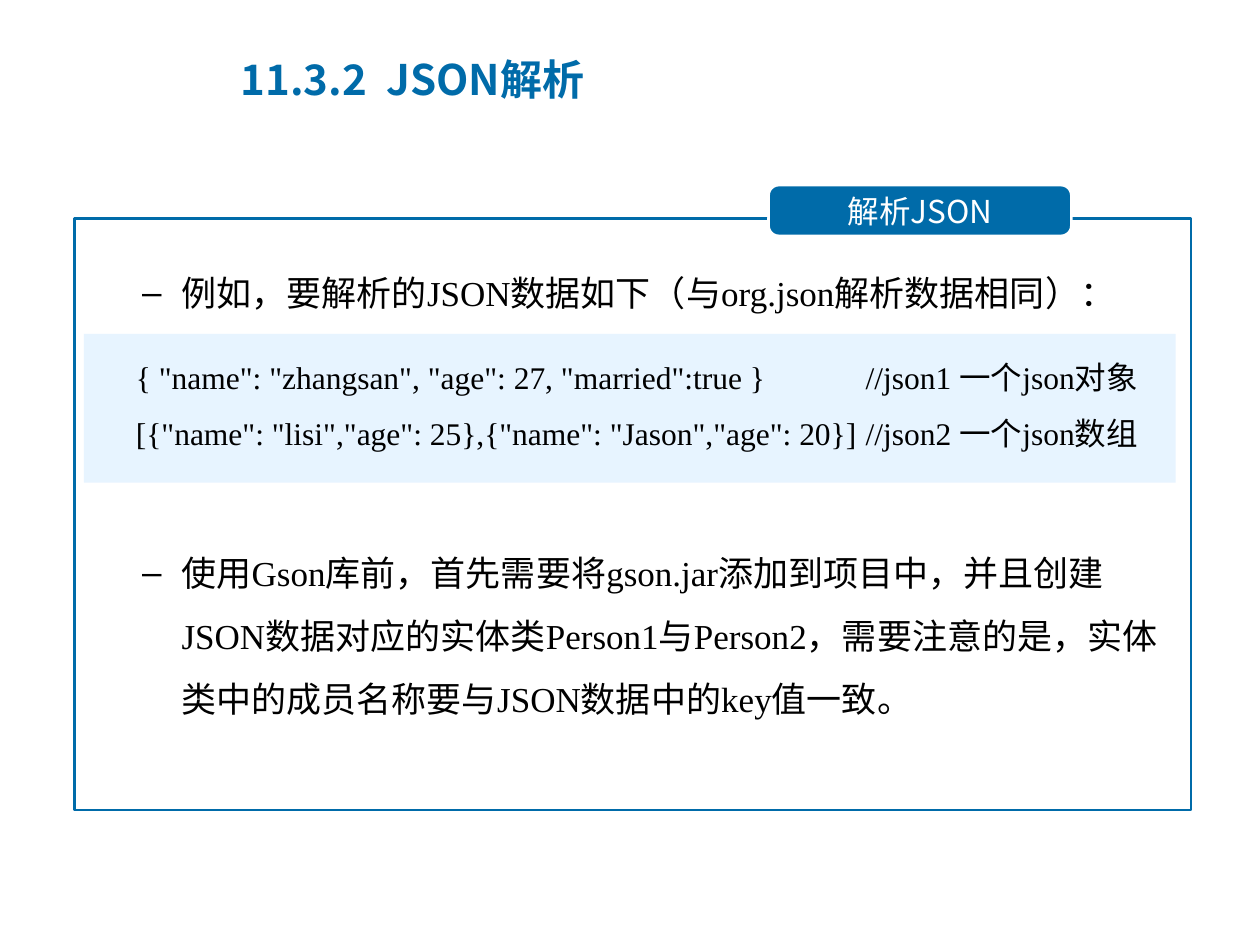
from lxml import etree
from pptx import Presentation
from pptx.dml.color import RGBColor
from pptx.enum.shapes import MSO_SHAPE
from pptx.enum.text import MSO_ANCHOR, MSO_AUTO_SIZE, PP_ALIGN
from pptx.oxml.ns import qn
from pptx.util import Pt

RECTANGLE, ROUNDED = MSO_SHAPE.RECTANGLE, MSO_SHAPE.ROUNDED_RECTANGLE
TOP, MIDDLE = MSO_ANCHOR.TOP, MSO_ANCHOR.MIDDLE
LEFT, CENTER = PP_ALIGN.LEFT, PP_ALIGN.CENTER
NO_AUTOFIT = MSO_AUTO_SIZE.NONE

BLUE = RGBColor(0x00, 0x6B, 0xA9)
PALE_BLUE = RGBColor(0xE7, 0xF4, 0xFF)
WHITE = RGBColor(0xFF, 0xFF, 0xFF)
BLACK = RGBColor(0x00, 0x00, 0x00)

SANS, SERIF, ARIAL = "Noto Sans CJK SC", "Times New Roman", "Arial"

BULLETS = [
    [("例如，要", ARIAL),
     ("解析的JSON数据如下（与org.json解析数据相同", SERIF),
     ("）：", ARIAL)],
    [("使用", ARIAL),
     ("Gson库前，首先需要将gson.jar添加到项目中，并且创建JSON数据对应的实体类"
      "Person1与Person2，需要注意的是，实体类中的成员名称要与JSON数据中的key值", SERIF),
     ("一致。", ARIAL)],
]
CODE_LINES = [
    '{ "name": "zhangsan", "age": 27, "married":true }\t//json1 一个json对象',
    '[{"name": "lisi","age": 25},{"name": "Jason","age": 20}]\t//json2 一个json数组',
]


def set_values(target, values):
    """Set each named attribute of the target."""
    for name, value in values.items():
        setattr(target, name, value)


def place(shape, left, top, width, height):
    """Move and size a shape, in points."""
    set_values(shape, {"left": Pt(left), "top": Pt(top),
                       "width": Pt(width), "height": Pt(height)})


def add_tab_stop(paragraph, position):
    """Give a paragraph one left tab stop, in points."""
    properties = paragraph._p.get_or_add_pPr()
    tab_list = etree.SubElement(properties, qn("a:tabLst"))
    etree.SubElement(tab_list, qn("a:tab"), pos=str(Pt(position)), algn="l")


def add_run(paragraph, text, size, name, color, bold=False):
    """Add a formatted run to a paragraph."""
    run = paragraph.add_run()
    run.text = text
    set_values(run.font, {"size": Pt(size), "name": name, "bold": bold})
    run.font.color.rgb = color


def add_box(slide, kind, bounds, fill=None, line=None):
    """Add a preset shape with an optional fill and outline."""
    shape = slide.shapes.add_shape(kind, *map(Pt, bounds))
    shape.shadow.inherit = False
    if fill is None:
        shape.fill.background()
    else:
        shape.fill.solid()
        shape.fill.fore_color.rgb = fill
    if line is None:
        shape.line.fill.background()
    else:
        shape.line.color.rgb = line
        shape.line.width = Pt(1.5)
    return shape


def add_title(slide):
    """Format and fill the title placeholder."""
    title = slide.shapes.title
    place(title, 130.3, 15, 405, 60.5)
    set_values(title.text_frame, {"auto_size": NO_AUTOFIT, "vertical_anchor": MIDDLE,
                                  "word_wrap": True})
    paragraph = title.text_frame.paragraphs[0]
    add_tab_stop(paragraph, 83.4)
    paragraph.alignment = LEFT
    add_run(paragraph, "11.3.2\tJSON解析", 24, SANS, BLUE, True)


def add_bullets(slide):
    """Fill the body placeholder with second-level bullets."""
    body = slide.placeholders[1]
    place(body, 38, 139.7, 634.5, 312)
    frame = body.text_frame
    set_values(frame, {"auto_size": NO_AUTOFIT, "vertical_anchor": TOP, "word_wrap": True})
    for index, runs in enumerate(BULLETS):
        paragraph = frame.add_paragraph() if index else frame.paragraphs[0]
        set_values(paragraph, {"level": 1, "alignment": LEFT, "line_spacing": Pt(36),
                               "space_before": Pt(124 * index)})
        for text, name in runs:
            add_run(paragraph, text, 20, name, BLACK)


def add_badge(slide):
    """Add the rounded label on the frame's top edge."""
    badge = add_box(slide, ROUNDED, (439.2, 105.8, 173, 29), BLUE, WHITE)
    badge.adjustments[0] = 0.2
    frame = badge.text_frame
    set_values(frame, {"vertical_anchor": MIDDLE, "word_wrap": True})
    paragraph = frame.paragraphs[0]
    paragraph.alignment = CENTER
    add_run(paragraph, "解析JSON", 18, SANS, WHITE)


def add_code(slide):
    """Add the shaded panel with code and aligned remarks."""
    panel = add_box(slide, RECTANGLE, (48, 190.8, 623.8, 85), PALE_BLUE)
    frame = panel.text_frame
    set_values(frame, {"vertical_anchor": TOP, "word_wrap": True,
                       "margin_left": Pt(29.7), "margin_right": Pt(0)})
    for index, text in enumerate(CODE_LINES):
        paragraph = frame.add_paragraph() if index else frame.paragraphs[0]
        add_tab_stop(paragraph, 417)
        set_values(paragraph, {"alignment": LEFT, "line_spacing": Pt(32)})
        add_run(paragraph, text, 18, SERIF, BLACK)


def main():
    """Build and save the slide."""
    presentation = Presentation()
    set_values(presentation, {"slide_width": Pt(720), "slide_height": Pt(540)})
    slide = presentation.slides.add_slide(presentation.slide_layouts[1])
    add_title(slide)
    add_box(slide, RECTANGLE, (42.6, 125, 638, 338), line=BLUE)
    add_badge(slide)
    add_bullets(slide)
    add_code(slide)
    presentation.save("out.pptx")


if __name__ == "__main__":
    main()
